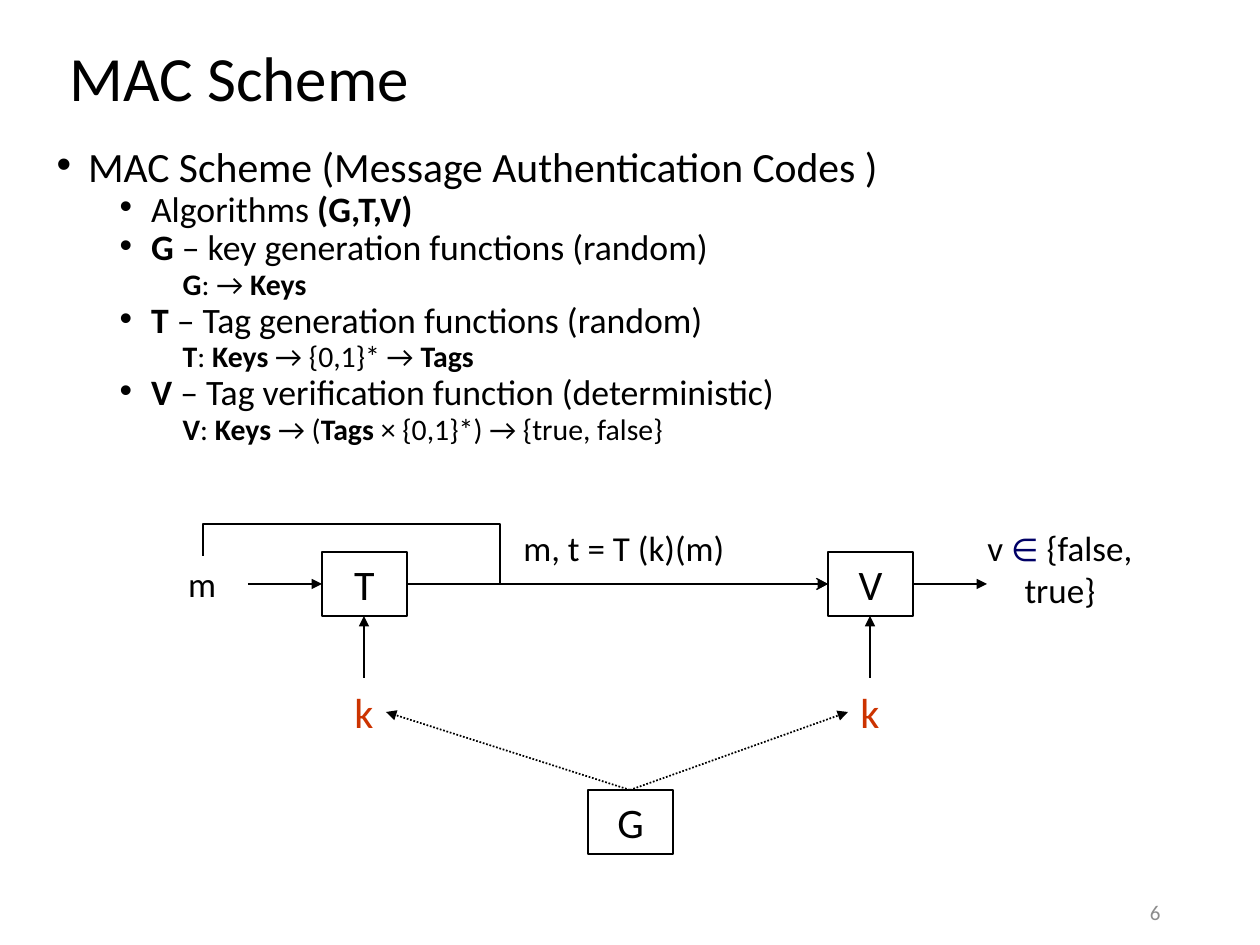
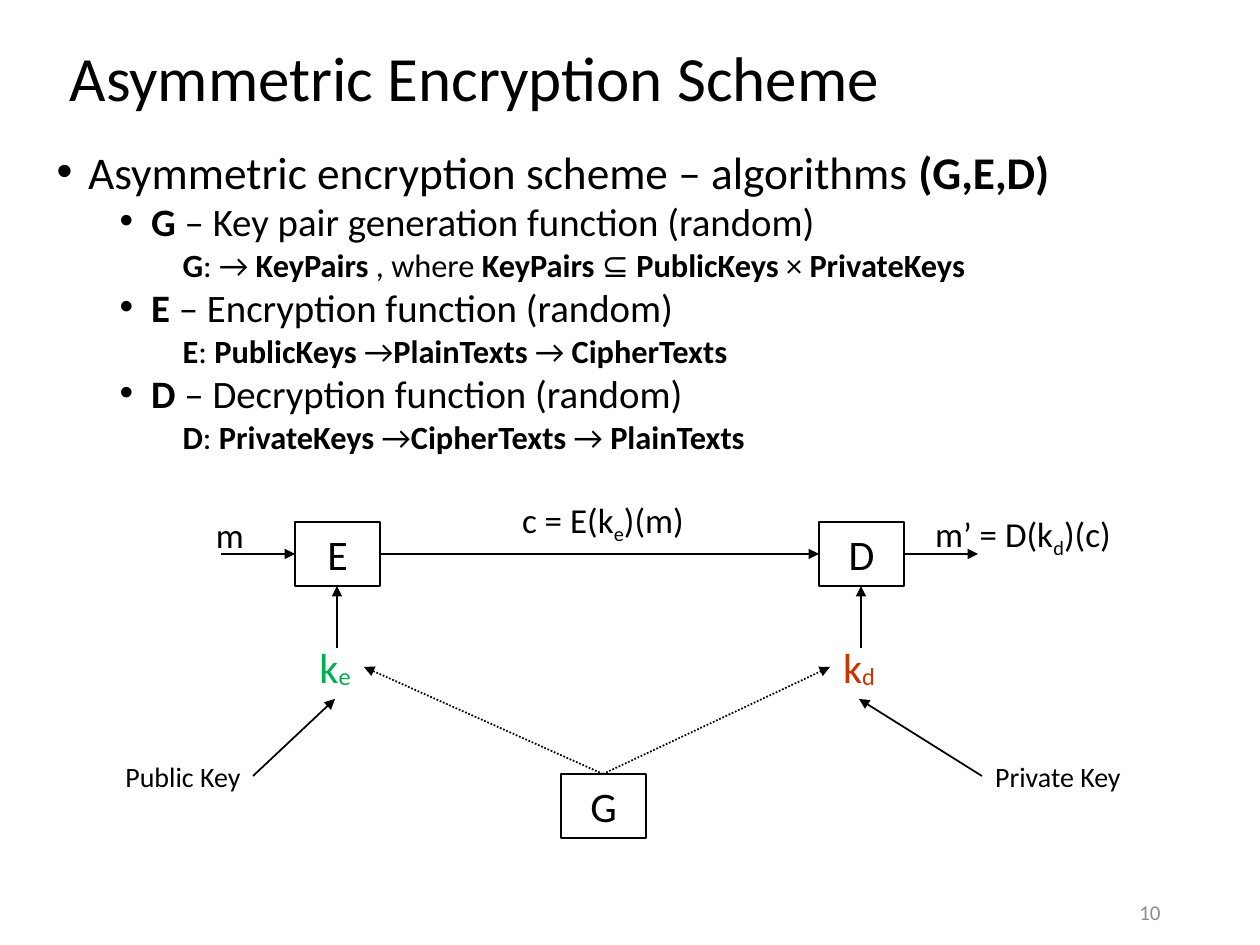
from lxml import etree
from pptx import Presentation
from pptx.dml.color import RGBColor
from pptx.enum.dml import MSO_LINE
from pptx.enum.shapes import MSO_CONNECTOR, MSO_SHAPE
from pptx.enum.text import MSO_ANCHOR, MSO_AUTO_SIZE, PP_ALIGN
from pptx.oxml.ns import qn
from pptx.util import Emu, Inches, Pt

STRAIGHT = MSO_CONNECTOR.STRAIGHT
RECT = MSO_SHAPE.RECTANGLE
DOTTED = MSO_LINE.ROUND_DOT
MIDDLE, TOP = MSO_ANCHOR.MIDDLE, MSO_ANCHOR.TOP
LEFT, CENTER, RIGHT = PP_ALIGN.LEFT, PP_ALIGN.CENTER, PP_ALIGN.RIGHT
NO_FIT = MSO_AUTO_SIZE.NONE

FONT = "Calibri"
COLORS = {"ink": "000000", "number": "8C8C8C", "symbol": "000066",
          "secret": "CC3300", "public": "00B050"}
NODE_W, NODE_H = 85, 64
STUB = 74
KEY_H = 64
CAPTION_H = 47


def px(n):
    return Emu(round(n * 914400 / 126))


def rgb(name):
    return RGBColor.from_string(COLORS[name])


def bold(r):
    r.font.bold = True


def subscript(r):
    r.font._element.set("baseline", "-25000")


def low_subscript(r):
    r.font._element.set("baseline", "-6000")


def symbol(r):
    r.font.size = Pt(18)
    r.font.color.rgb = rgb("symbol")


def write(p, text, size, color="ink", accent=bold):
    for i, part in enumerate(text.split("|")):
        if not part:
            continue
        r = p.add_run()
        r.text = part
        r.font.name = FONT
        r.font.size = Pt(size)
        r.font.color.rgb = rgb(color)
        if i % 2:
            accent(r)


def place(sp, x, y, w, h):
    sp.left, sp.top, sp.width, sp.height = px(x), px(y), px(w), px(h)


def label(s, text, cx, y, w, h, size=20, color="ink", accent=subscript,
          wrap=False, align=CENTER, anchor=TOP):
    sp = s.shapes.add_textbox(px(cx - w / 2), px(y), px(w), px(h))
    tf = sp.text_frame
    tf.word_wrap = wrap
    tf.vertical_anchor = anchor
    p = tf.paragraphs[0]
    p.alignment = align
    write(p, text, size, color, accent)


def style_line(sp, width=1, head="triangle"):
    sp.line.color.rgb = rgb("ink")
    sp.line.width = Pt(width)
    etree.SubElement(sp.line._get_or_add_ln(), qn("a:tailEnd"), type=head)


def arrow(s, start, end, dash=None):
    sp = s.shapes.add_connector(STRAIGHT, *map(px, start + end))
    if dash:
        sp.line.dash_style = dash
    style_line(sp)
    etree.SubElement(sp._element.spPr, qn("a:effectLst"))


def node(s, text, x, y):
    sp = s.shapes.add_shape(RECT, px(x), px(y), px(NODE_W), px(NODE_H))
    sp.shadow.inherit = False
    sp.fill.background()
    sp.line.color.rgb = rgb("ink")
    sp.line.width = Pt(1)
    tf = sp.text_frame
    tf.vertical_anchor = MIDDLE
    p = tf.paragraphs[0]
    p.alignment = CENTER
    write(p, text, 24)


def title(s, text):
    sp = s.shapes.title
    place(sp, 57, 36, 1147, 91)
    tf = sp.text_frame
    tf.auto_size = NO_FIT
    tf.vertical_anchor = MIDDLE
    p = tf.paragraphs[0]
    p.alignment = LEFT
    p.line_spacing = 0.9
    write(p, text, 36)


def body(s, items, sizes, spacing):
    sp = s.placeholders[1]
    place(sp, 44, 148, 1153, 320)
    tf = sp.text_frame
    tf.auto_size = NO_FIT
    for i, (level, text) in enumerate(items):
        p = tf.add_paragraph() if i else tf.paragraphs[0]
        p.level = level
        p.line_spacing = spacing
        p.space_before = Pt(5 if level else 10)
        pPr = p._p.get_or_add_pPr()
        pPr.set("marL", str(Inches(0.25 + level * 0.5)))
        pPr.set("indent", str(Inches(-0.25)))
        if level < 2:
            etree.SubElement(pPr, qn("a:buFont"), typeface="Arial")
            etree.SubElement(pPr, qn("a:buChar"), char="•")
        else:
            etree.SubElement(pPr, qn("a:buNone"))
        write(p, text, sizes[level])


def key(s, text, color, cx, y, w):
    label(s, text, cx, y, w, KEY_H, 24, color, low_subscript)


def diagram(s, x, y, names, gap, generator_y, keys, key_y, key_w, shift=0):
    first, second, generator = names
    mid = y + NODE_H // 2
    lefts = (x, x + gap)
    generator_x = x + 266
    apex = (generator_x + NODE_W // 2, y + generator_y)
    for name, left in zip((first, second), lefts):
        node(s, name, left, y)
    node(s, generator, generator_x, apex[1])
    for start, end in ((x - STUB, x), (x + NODE_W, x + gap),
                       (x + gap + NODE_W, x + gap + NODE_W + STUB)):
        arrow(s, (start, mid), (end, mid))
    bottoms = []
    for (text, color), left, side in zip(keys, lefts, (1, -1)):
        cx = left + NODE_W // 2
        arrow(s, (cx, y + NODE_H + 62), (cx, y + NODE_H))
        key(s, text, color, cx + shift, y + key_y, key_w)
        edge = cx + shift + side * key_w // 2
        arrow(s, apex, (edge, y + key_y + KEY_H // 2), DOTTED)
        bottoms.append((cx + shift, y + key_y + KEY_H))
    return bottoms


def message_bypass(s, x, y):
    mid = y + NODE_H // 2
    points = [(x - 119, y - 28), (x + 178, y - 28), (x + 178, mid), (x + 506, mid)]
    fb = s.shapes.build_freeform(px(x - 119), px(y + 4))
    fb.add_line_segments([(px(a), px(b)) for a, b in points], close=False)
    sp = fb.convert_to_shape()
    sp.shadow.inherit = False
    sp.fill.background()
    style_line(sp, 0.75, "arrow")


def key_captions(s, x, y, targets):
    mid = y + 231 + CAPTION_H // 2
    captions = (("Public Key", -112, 141, 1), ("Private Key", 763, 152, -1))
    for (text, cx, w, side), target in zip(captions, targets):
        label(s, text, x + cx, y + 231, w, CAPTION_H, 16)
        arrow(s, (x + cx + side * w // 2, mid), target)


def scheme_slide(prs, heading, items, sizes, spacing, number):
    s = prs.slides.add_slide(prs.slide_layouts[1])
    title(s, heading)
    body(s, items, sizes, spacing)
    label(s, number, 1031, 898, 284, 28, 12, "number", align=RIGHT,
          anchor=MIDDLE, wrap=True)
    return s


def mac_slide(prs):
    s = scheme_slide(prs, "MAC Scheme", [
        (0, "MAC Scheme (Message Authentication Codes )"),
        (1, "Algorithms |(G,T,V)|"),
        (1, "|G| – key generation functions (random)"),
        (2, "|G|: → |Keys|"),
        (1, "|T| – Tag generation functions (random)"),
        (2, "|T|: |Keys |→ {0,1}* → |Tags|"),
        (1, "|V| – Tag verification function (deterministic)"),
        (2, "|V|: |Keys |→ (|Tags |× {0,1}*) → {true, false}"),
    ], (23.8, 20.4, 17), 0.7, "6")
    x, y = 322, 552
    diagram(s, x, y, "TVG", 506, 238,
            (("k", "secret"), ("k", "secret")), 128, 44)
    message_bypass(s, x, y)
    label(s, "m", x - 120, y + 4, 54, 55)
    label(s, "m, t = T (k)(m)", x + 302, y - 32, 250, 55)
    label(s, "v |∈| {false, true}", x + 738, y - 32, 238, 55,
          accent=symbol, wrap=True)


def asymmetric_slide(prs):
    s = scheme_slide(prs, "Asymmetric Encryption Scheme", [
        (0, "Asymmetric encryption scheme – algorithms |(G,E,D)|"),
        (1, "|G| – Key pair generation function (random)"),
        (2, "|G|: → |KeyPairs| , where |KeyPairs| ⊆ |PublicKeys |× |PrivateKeys|"),
        (1, "|E| – Encryption function (random)"),
        (2, "|E|: |PublicKeys |→|PlainTexts| → |CipherTexts|"),
        (1, "|D| – Decryption function (random)"),
        (2, "|D|: |PrivateKeys |→|CipherTexts| → |PlainTexts|"),
    ], (25.9, 22.2, 18.5), 0.8, "10")
    x, y = 295, 522
    targets = diagram(s, x, y, "EDG", 524, 252,
                      (("k|e|", "public"), ("k|d|", "secret")), 113, 58, -2)
    label(s, "m", x - 65, y - 15, 54, 55)
    label(s, "c = E(k|e|)(m)", x + 308, y - 30, 200, 55)
    label(s, "m’ = D(k|d|)(c)", x + 728, y - 16, 214, 55)
    key_captions(s, x, y, targets)


def main():
    prs = Presentation()
    prs.slide_width, prs.slide_height = px(1260), px(945)
    mac_slide(prs)
    asymmetric_slide(prs)
    prs.save("out.pptx")


if __name__ == "__main__":
    main()
